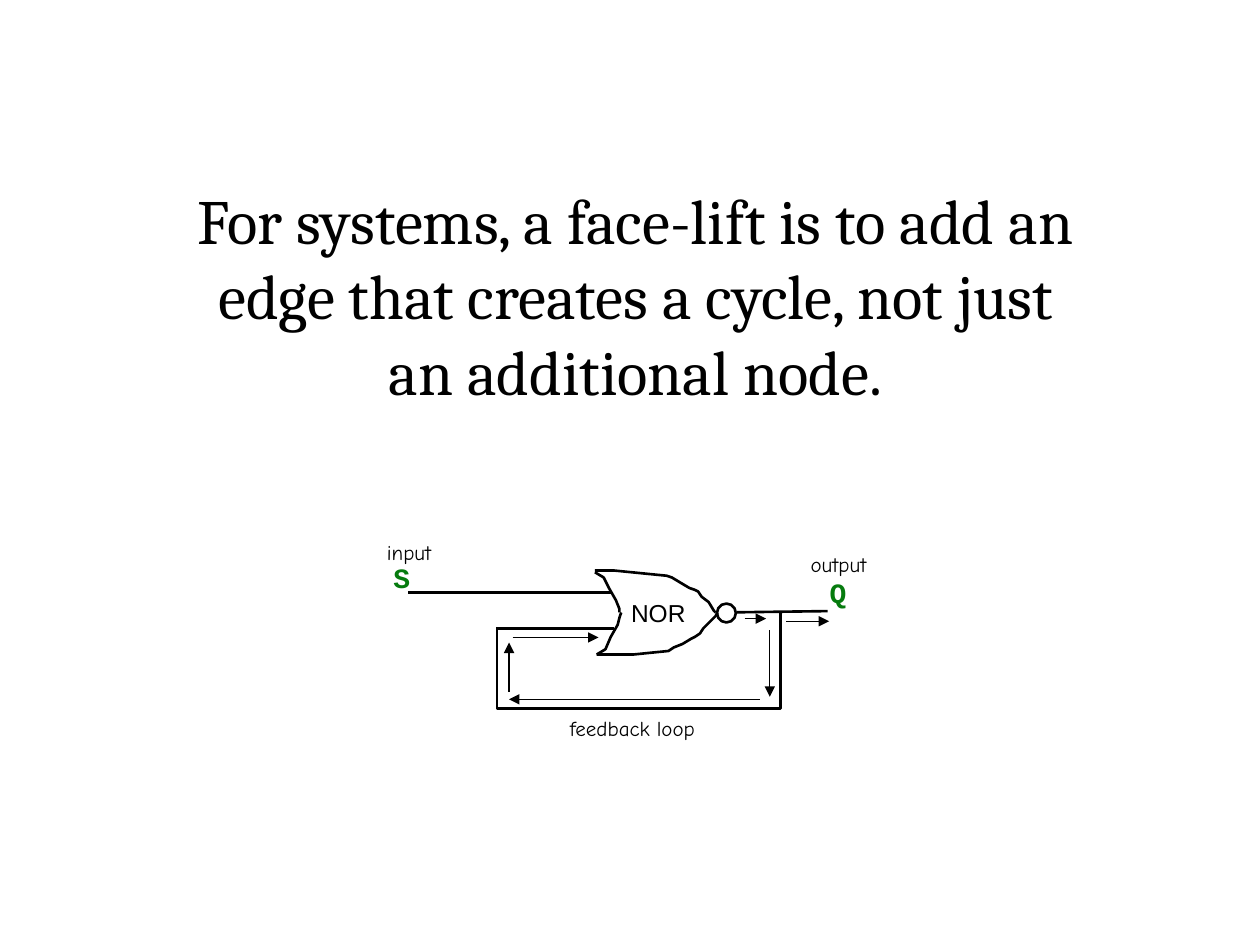
from pptx import Presentation
from pptx.dml.color import RGBColor
from pptx.enum.shapes import MSO_CONNECTOR, MSO_SHAPE
from pptx.enum.text import PP_ALIGN
from pptx.oxml.ns import qn
from pptx.util import Pt
from lxml.etree import SubElement

COLORS = {"ink": "000000", "signal": "067B0E"}

deck = Presentation()
deck.slide_width, deck.slide_height = Pt(720), Pt(540)
page = deck.slides.add_slide(deck.slide_layouts[6])


def add_text(text, left, top, width, height, font, size, color="ink",
             bold=False, align=PP_ALIGN.CENTER, wrap=True):
    box = page.shapes.add_textbox(Pt(left), Pt(top), Pt(width), Pt(height))
    box.text_frame.word_wrap = wrap
    para = box.text_frame.paragraphs[0]
    para.alignment = align
    span = para.add_run()
    span.text = text
    span.font.name, span.font.size, span.font.bold = font, Pt(size), bold
    span.font.color.rgb = RGBColor.from_string(COLORS[color])


def set_outline(shape, width=1.5):
    shape.line.color.rgb = RGBColor.from_string(COLORS["ink"])
    shape.line.width = Pt(width)


# Statement
add_text("For systems, a face-lift is to add an edge that creates a cycle, "
         "not just an additional node.", 105.1, 100.1, 516.2, 136.8, "Cambria", 36)

# Wires, then thin arrows that show the signal flow
wires = [(350.6, 359.3, 283.7, 359.3), (473, 349.2, 421.2, 349.9),
         (349.2, 338.4, 233.3, 338.4)]
flow_arrows = [(425.5, 353.5, 437.8, 353.5), (439.9, 360, 439.9, 398.2),
               (434.2, 399.6, 290.9, 399.6), (290.9, 395.3, 290.9, 367.2),
               (293, 364.3, 342, 364.3), (449.3, 355, 473.8, 355)]
for ends in wires + flow_arrows:
    line = page.shapes.add_connector(MSO_CONNECTOR.STRAIGHT, *map(Pt, ends))
    is_arrow = ends in flow_arrows
    set_outline(line, 0.75 if is_arrow else 1.5)
    if is_arrow:
        SubElement(line.line._get_or_add_ln(), qn("a:tailEnd"), type="triangle")
    SubElement(line._element.spPr, qn("a:effectLst"))

# Gate: the lower half mirrors the upper half; the feedback wire is one outline
GATE_AXIS = 350.3
LOWER_SHIFT = 0.7
upper_edge = [(340, 326.2), (351, 326.3), (361, 326.9), (371, 327.7), (381, 329),
              (384, 330.5), (389, 332.6), (394.5, 335.5), (396.7, 337),
              (399, 338.4), (401, 341.3), (404.6, 344.2), (408, 349), (409, 350.3)]
upper_inlet = [(340.5, 326.9), (345, 329.8), (348, 336.5), (352, 343.4),
               (353.5, 347.8), (354.2, 350.3)]
feedback = [(445.7, 349.9), (445.7, 405.4), (283.7, 405.4), (283.7, 358.6)]
outlines = [feedback]
for half in (upper_edge, upper_inlet):
    outlines += [half, [(x + LOWER_SHIFT, 2 * GATE_AXIS - y) for x, y in half]]
for points in outlines:
    builder = page.shapes.build_freeform(*points[0], scale=Pt(1))
    builder.add_line_segments(points[1:], close=False)
    outline = builder.convert_to_shape()
    outline.fill.background()
    outline.shadow.inherit = False
    set_outline(outline)

# Inverter bubble
bubble = page.shapes.add_shape(MSO_SHAPE.OVAL, Pt(409.7), Pt(344.9), Pt(10.8), Pt(10.8))
bubble.fill.background()
bubble.shadow.inherit = False
set_outline(bubble)

# Labels
add_text("NOR", 349.2, 338.4, 54, 23.8, "Arial", 14)
for letter, left, top in [("S", 217.4, 316.8), ("Q", 466.6, 325.4)]:
    add_text(letter, left, top, 24.5, 26.6, "Courier New", 16,
             color="signal", bold=True, wrap=False)
for caption, left, top, width, align in [
        ("input", 207.4, 304.6, 46.1, PP_ALIGN.RIGHT),
        ("output", 450, 311.8, 58.3, PP_ALIGN.CENTER),
        ("feedback loop", 272.9, 405.4, 177.1, PP_ALIGN.CENTER)]:
    add_text(caption, left, top, width, 21.6, "Comic Neue", 12, align=align)

deck.save("out.pptx")
